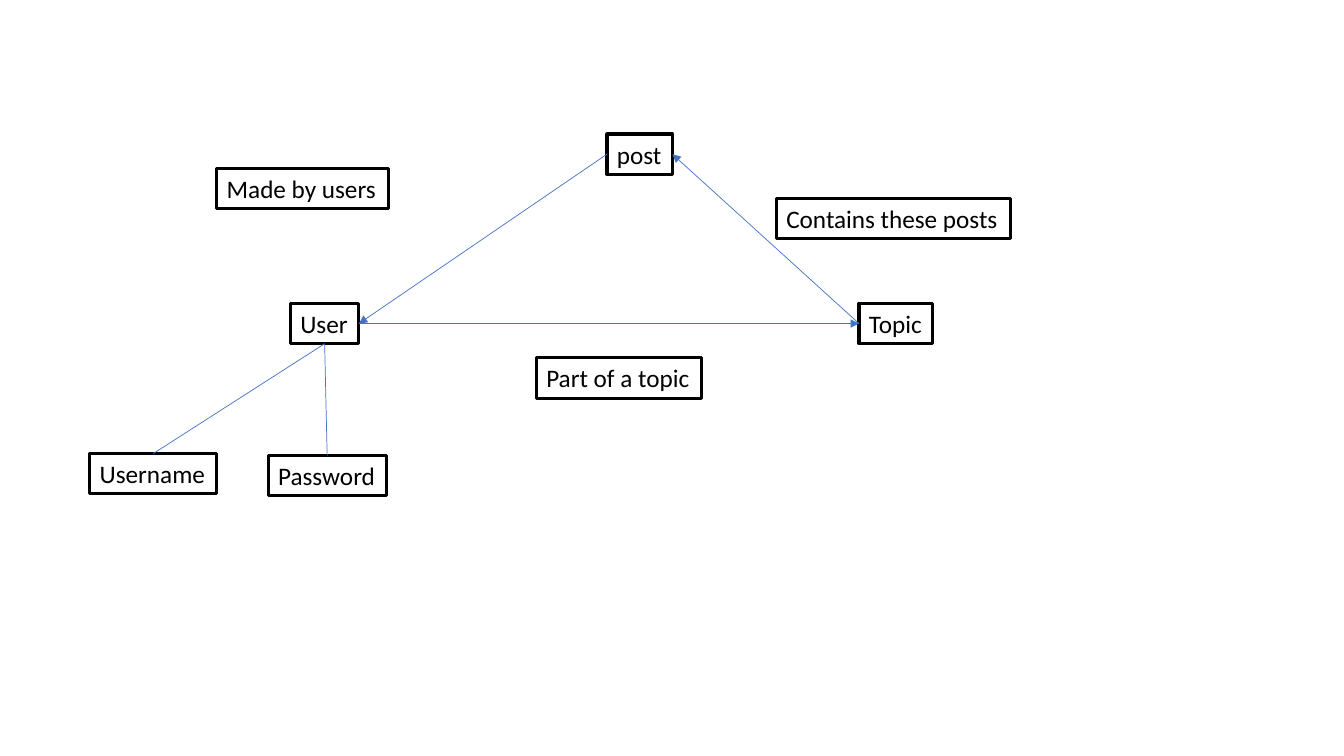
"""Draw a diagram of how users, posts and topics relate."""
from lxml import etree
from pptx import Presentation, util as u
from pptx.dml.color import RGBColor
from pptx.enum import shapes, text
from pptx.oxml import ns

BLACK = RGBColor(0x00, 0x00, 0x00)
WHITE = RGBColor(0xFF, 0xFF, 0xFF)
BLUE = RGBColor(0x44, 0x72, 0xC4)
TOP, LEFT, BOTTOM, RIGHT = range(4)
HEIGHT = 0.4

BOXES = [
    ("User", 2.88, 3.01, 0.68),
    ("post", 6.02, 1.33, 0.65),
    ("Topic", 8.52, 3.01, 0.73),
    ("Part of a topic", 5.32, 3.55, 1.64),
    ("Contains these posts", 7.7, 1.97, 2.32),
    ("Made by users", 2.15, 1.67, 1.7),
    ("Password", 2.66, 4.52, 1.17),
    ("Username", 0.89, 4.5, 1.26),
]
LINKS = [
    ("User", RIGHT, "Topic", LEFT, True),
    ("post", LEFT, "User", RIGHT, True),
    ("Topic", LEFT, "post", RIGHT, True),
    ("Username", TOP, "User", BOTTOM, False),
    ("Password", TOP, "User", BOTTOM, False),
]


def write(frame, words, size=18, font="Calibri", color=BLACK):
    frame.word_wrap = False
    frame.auto_size = text.MSO_AUTO_SIZE.SHAPE_TO_FIT_TEXT
    run = frame.paragraphs[0].add_run()
    run.text = words
    run.font.size = u.Pt(size)
    run.font.name = font
    run.font.color.rgb = color


def add_box(slide, words, left, top, width):
    box = slide.shapes.add_textbox(*map(u.Inches, (left, top, width, HEIGHT)))
    box.fill.solid()
    box.fill.fore_color.rgb = WHITE
    box.line.color.rgb = BLACK
    box.line.width = u.Pt(2.25)
    write(box.text_frame, words)
    return box


def add_link(slide, start, exit, end, entry, arrow):
    link = slide.shapes.add_connector(shapes.MSO_CONNECTOR.STRAIGHT, 0, 0, 0, 0)
    link.begin_connect(start, exit)
    link.end_connect(end, entry)
    link.line.color.rgb = BLUE
    link.line.width = u.Pt(0.5)
    if arrow:
        etree.SubElement(link.line._ln, ns.qn("a:tailEnd"), type="triangle")
    etree.SubElement(link._element.spPr, ns.qn("a:effectLst"))


def main():
    deck = Presentation()
    deck.slide_width = u.Inches(13.33)
    deck.slide_height = u.Inches(7.5)
    slide = deck.slides.add_slide(deck.slide_layouts[6])
    boxes = {words: add_box(slide, words, *place) for words, *place in BOXES}
    for start, exit, end, entry, arrow in LINKS:
        add_link(slide, boxes[start], exit, boxes[end], entry, arrow)
    deck.save("out.pptx")


main()
